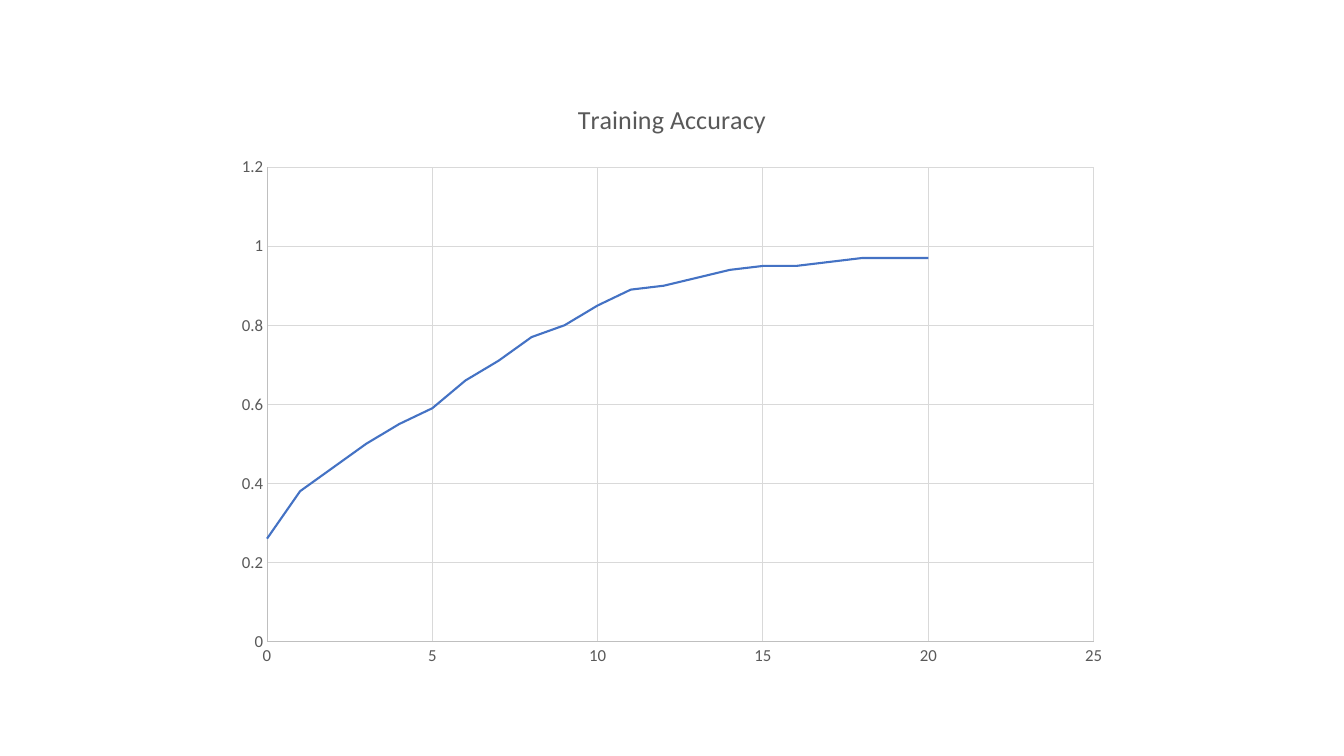
from dataclasses import dataclass

from pptx import Presentation
from pptx.chart.data import XyChartData
from pptx.dml.color import RGBColor
from pptx.enum.chart import XL_CHART_TYPE, XL_MARKER_STYLE, XL_TICK_MARK
from pptx.util import Inches, Pt


@dataclass(frozen=True)
class Theme:
    """Colours, font and sizes of the slide."""
    face: str = "Calibri"
    text: str = "595959"
    axis: str = "BFBFBF"
    grid: str = "D9D9D9"
    curve: str = "4472C4"
    title: float = 18.6
    label: float = 12
    thin: float = 0.75
    bold: float = 1.5


class Page:
    """Holds the theme and the current slide."""

    def __init__(self, slide, theme):
        """Keep the slide and its theme."""
        self.slide, self.theme = slide, theme

    def font(self, font, size):
        """Style a font."""
        font.name, font.size, font.bold = self.theme.face, Pt(size), False
        font.color.rgb = RGBColor.from_string(self.theme.text)

    def line(self, form, color, width):
        """Style a line."""
        form.line.color.rgb = RGBColor.from_string(color)
        form.line.width = Pt(width)

    def axis(self, axis, top, step):
        """Scale and style an axis with its grid."""
        look = self.theme
        axis.minimum_scale, axis.maximum_scale, axis.major_unit = 0, top, step
        axis.major_tick_mark = axis.minor_tick_mark = XL_TICK_MARK.NONE
        axis.has_major_gridlines = True
        self.line(axis.major_gridlines.format, look.grid, look.thin)
        self.line(axis.format, look.axis, look.thin)
        labels = axis.tick_labels
        labels.number_format, labels.number_format_is_linked = "General", False
        self.font(labels.font, look.label)

    def scatter(self, title, points, box, across, up):
        """Add a titled scatter chart joined by straight lines."""
        data = XyChartData()
        series = data.add_series(title)
        for x, y in points:
            series.add_data_point(x, y)
        kind = XL_CHART_TYPE.XY_SCATTER_LINES_NO_MARKERS
        chart = self.slide.shapes.add_chart(kind, *map(Inches, box), data).chart
        chart.has_legend = False
        self.font(chart.font, self.theme.label)
        chart.has_title = True
        frame = chart.chart_title.text_frame
        frame.text = title
        self.font(frame.paragraphs[0].font, self.theme.title)
        chart.chart_title.include_in_layout = False
        self.axis(chart.category_axis, *across)
        self.axis(chart.value_axis, *up)
        plot = chart.plots[0]
        plot.vary_by_categories = False
        curve = plot.series[0]
        curve.smooth = False
        curve.marker.style = XL_MARKER_STYLE.NONE
        self.line(curve.format, self.theme.curve, self.theme.bold)


def main():
    """Build and save the slide."""
    deck = Presentation()
    deck.slide_width, deck.slide_height = Inches(13.33), Inches(7.5)
    page = Page(deck.slides.add_slide(deck.slide_layouts[6]), Theme())
    scores = [0.26, 0.38, 0.44, 0.5, 0.55, 0.59, 0.66, 0.71, 0.77, 0.8, 0.85,
              0.89, 0.9, 0.92, 0.94, 0.95, 0.95, 0.96, 0.97, 0.97, 0.97]
    page.scatter("Training Accuracy", enumerate(scores),
                 box=(2.22, 0.79, 8.89, 5.93), across=(25, 5), up=(1.2, 0.2))
    deck.save("out.pptx")


main()
